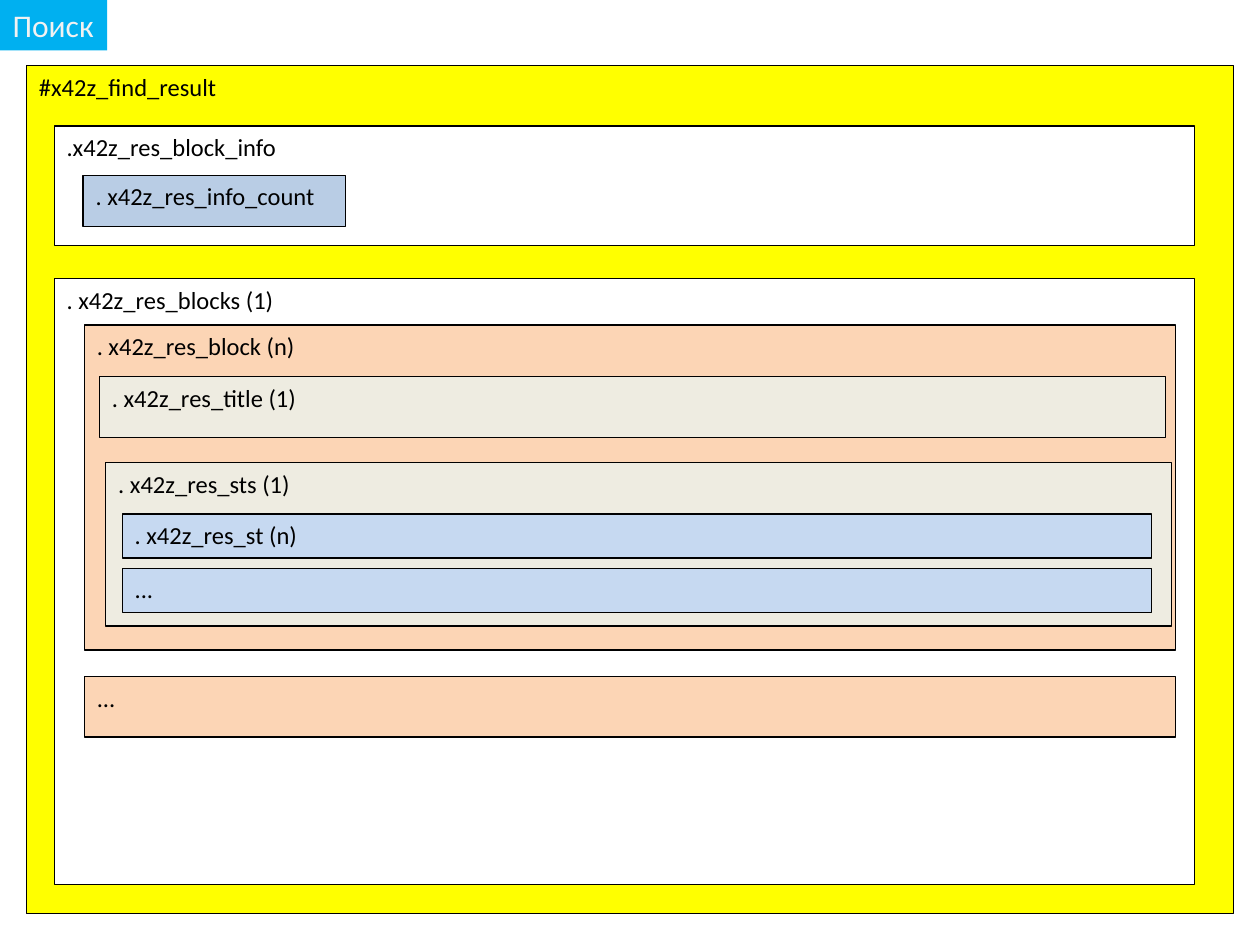
"""Build a slide of nested boxes that maps the markup of a search result."""
import pptx
import pptx.util
import pptx.dml.color
import pptx.enum.text
import pptx.enum.shapes

COLS, ROWS = 100, 75
TITLE = ("Поиск", "00B0F0", (0, 0, 8.5, 4))
PEACH, CREAM, SKY = "FCD5B5", "EEECE1", "C6D9F1"

TREE = ("#x42z_find_result", "FFFF00", (2.1, 5.2, 95.8, 67.3), [
    (".x42z_res_block_info", "FFFFFF", (2.2, 4.8, 90.5, 9.5), [
        (". x42z_res_info_count", "B9CDE5", (2.3, 3.9, 20.8, 4.1), []),
    ]),
    (". x42z_res_blocks (1)", "FFFFFF", (2.2, 16.9, 90.5, 48.1), [
        (". x42z_res_block (n)", PEACH, (2.4, 3.7, 86.6, 25.8), [
            (". x42z_res_title (1)", CREAM, (1.2, 4.1, 84.6, 4.8), []),
            (". x42z_res_sts (1)", CREAM, (1.7, 10.9, 84.6, 13), [
                (". x42z_res_st (n)", SKY, (1.3, 4.1, 81.7, 3.5), []),
                ("...", SKY, (1.3, 8.4, 81.7, 3.5), []),
            ]),
        ]),
        ("...", PEACH, (2.4, 31.6, 86.6, 4.8), []),
    ]),
])

deck = pptx.Presentation()
deck.slide_width = pptx.util.Inches(10)
deck.slide_height = pptx.util.Inches(7.5)
slide = deck.slides.add_slide(deck.slide_layouts[5])


def paint(target, code):
    """Give a colour format the colour of a hex string."""
    target.rgb = pptx.dml.color.RGBColor.from_string(code)


def place(left, top, wide, high):
    """Turn grid columns and rows into slide lengths."""
    col, row = deck.slide_width / COLS, deck.slide_height / ROWS
    return [round(n) for n in (left * col, top * row, wide * col, high * row)]


def style(shape, text, fill, size, ink, wrap):
    """Fill a shape and set its text at the top left."""
    shape.fill.solid()
    paint(shape.fill.fore_color, fill)
    frame = shape.text_frame
    frame.text = text
    form = {"word_wrap": wrap,
            "vertical_anchor": pptx.enum.text.MSO_ANCHOR.TOP,
            "auto_size": pptx.enum.text.MSO_AUTO_SIZE.NONE}
    for name, value in form.items():
        setattr(frame, name, value)
    line = frame.paragraphs[0]
    line.alignment = pptx.enum.text.PP_ALIGN.LEFT
    font = line.runs[0].font
    for name, value in {"name": "Calibri", "size": pptx.util.Pt(size)}.items():
        setattr(font, name, value)
    paint(font.color, ink)


def draw(node, left=0, top=0):
    """Draw a box, then the boxes inside it, measured from its corner."""
    text, fill, (dx, dy, wide, high), kids = node
    left, top = left + dx, top + dy
    box = slide.shapes.add_shape(pptx.enum.shapes.MSO_SHAPE.RECTANGLE,
                                 *place(left, top, wide, high))
    box.shadow.inherit = False
    box.line.width = pptx.util.Pt(0.75)
    paint(box.line.color, "000000")
    style(box, text, fill, 14, "000000", True)
    for kid in kids:
        draw(kid, left, top)


text, fill, area = TITLE
head = slide.shapes.title
for name, value in zip(("left", "top", "width", "height"), place(*area)):
    setattr(head, name, value)
style(head, text, fill, 18, "F2F2F2", False)
draw(TREE)
deck.save("out.pptx")
